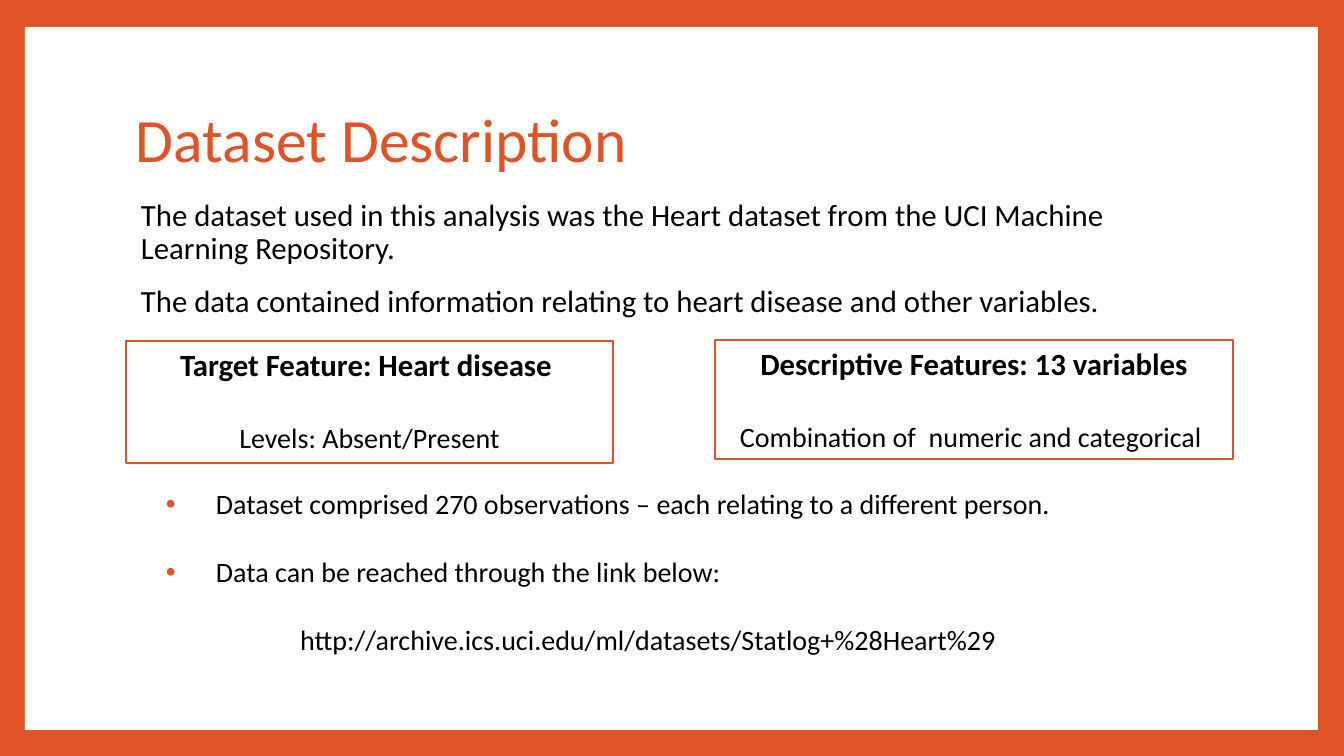
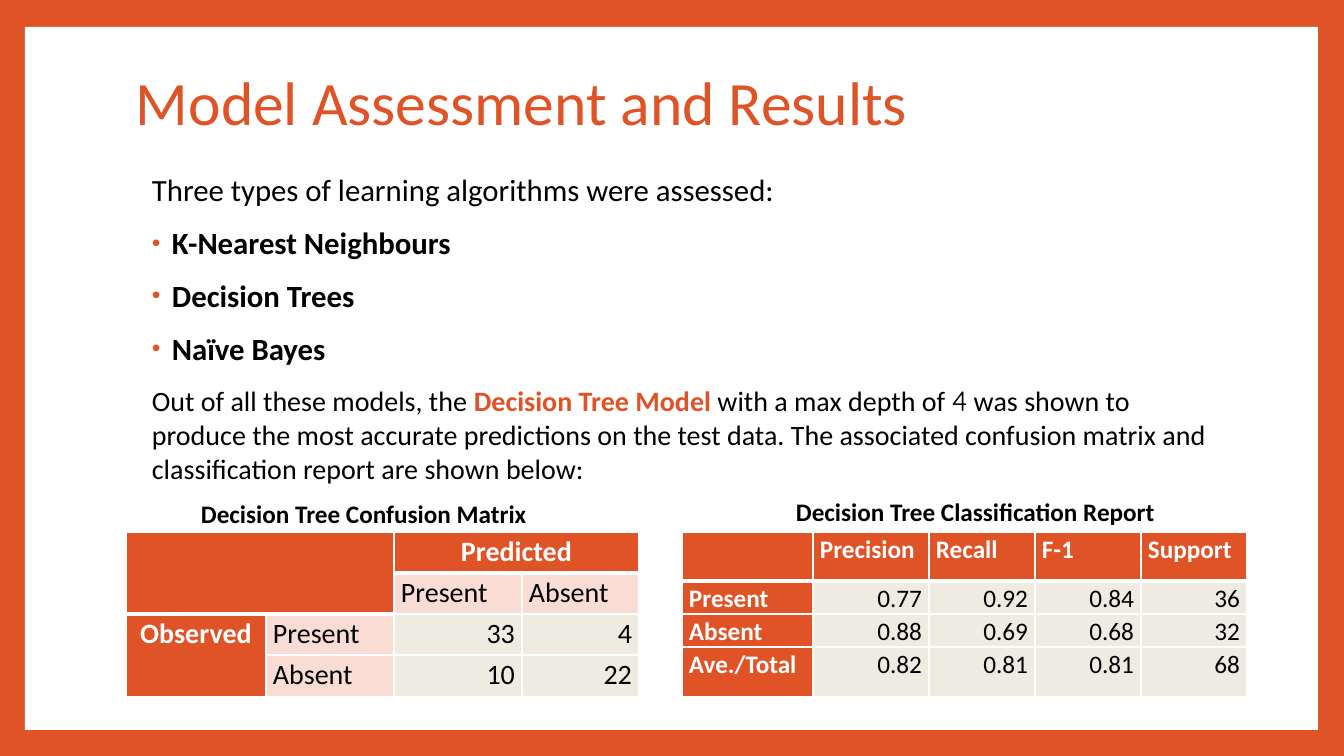
from lxml.etree import SubElement
from pptx import Presentation
from pptx.dml.color import RGBColor
from pptx.enum.shapes import MSO_SHAPE
from pptx.enum.text import MSO_ANCHOR, PP_ALIGN
from pptx.oxml import parse_xml
from pptx.oxml.ns import nsdecls, qn
from pptx.util import Emu, Pt

SCALE = 914400 / 100.8
ORANGE, PINK, BEIGE = "DF5327", "F9DDD4", "EEECE1"
WHITE, BLACK = "FFFFFF", "000000"
FONT = "Calibri"

# Cell kinds: fill, text colour, bold
CELL_KINDS = {
    "H": (ORANGE, WHITE, True),
    "L": (PINK, BLACK, False),
    "V": (BEIGE, BLACK, False),
}


def px(value):
    return Emu(round(value * SCALE))


def box(*values):
    return [px(value) for value in values]


def color(value):
    return RGBColor.from_string(value)


# Text
def format_run(run, size, text_color=BLACK, bold=False, font=FONT):
    run.font.name = font
    run.font.size = Pt(size)
    run.font.bold = bold
    run.font.color.rgb = color(text_color)


def fill_paragraph(paragraph, text, size, text_color=BLACK, bold=False,
                   align=PP_ALIGN.LEFT, spacing=None, before=0):
    paragraph.text = text
    paragraph.alignment = align
    paragraph.line_spacing = spacing
    paragraph.space_before = Pt(before)
    for run in paragraph.runs:
        format_run(run, size, text_color, bold)


def next_paragraph(text_frame, index):
    return text_frame.add_paragraph() if index else text_frame.paragraphs[0]


def indent(paragraph, left, hanging=0, bullet_percent=None):
    properties = paragraph._p.get_or_add_pPr()
    properties.set("marL", str(px(left)))
    properties.set("indent", str(-px(hanging)))
    if bullet_percent:
        bullet_color = SubElement(properties, qn("a:buClr"))
        SubElement(bullet_color, qn("a:srgbClr"), val=ORANGE)
        SubElement(properties, qn("a:buSzPct"), val=str(bullet_percent * 1000))
        SubElement(properties, qn("a:buFont"), typeface="Arial")
        SubElement(properties, qn("a:buChar"), char="•")


def add_text_box(slide, left, top, width, height, wrap=True):
    text_frame = slide.shapes.add_textbox(*box(left, top, width, height)).text_frame
    text_frame.word_wrap = wrap
    return text_frame


# Shared slide frame
def add_framed_slide(presentation, title, title_top):
    slide = presentation.slides.add_slide(presentation.slide_layouts[6])
    slide.background.fill.solid()
    slide.background.fill.fore_color.rgb = color(ORANGE)
    panel = slide.shapes.add_shape(MSO_SHAPE.RECTANGLE, *box(25, 27, 1293, 703))
    panel.shadow.inherit = False
    panel.fill.solid()
    panel.fill.fore_color.rgb = color(WHITE)
    panel.line.fill.background()
    text_frame = add_text_box(slide, 126, title_top, 1089, 149)
    text_frame.vertical_anchor = MSO_ANCHOR.MIDDLE
    fill_paragraph(text_frame.paragraphs[0], title, 44, ORANGE, spacing=0.9)
    return slide


def add_body(slide, left, top, height, intro, bullets=()):
    text_frame = add_text_box(slide, left, top, 1089, height)
    for index, text in enumerate([*intro, *bullets]):
        is_bullet = index >= len(intro)
        paragraph = next_paragraph(text_frame, index)
        fill_paragraph(paragraph, text, 22, bold=is_bullet, spacing=0.9,
                       before=14 if index else 0)
        if is_bullet:
            indent(paragraph, 25, 20, bullet_percent=80)
        else:
            indent(paragraph, 5)


def add_feature_box(slide, left, top, width, height, heading, detail):
    shape = slide.shapes.add_shape(MSO_SHAPE.RECTANGLE, *box(left, top, width, height))
    shape.shadow.inherit = False
    shape.fill.background()
    shape.line.color.rgb = color(ORANGE)
    shape.line.width = Pt(2)
    text_frame = shape.text_frame
    text_frame.word_wrap = True
    text_frame.vertical_anchor = MSO_ANCHOR.TOP
    fill_paragraph(text_frame.paragraphs[0], heading, 22, bold=True,
                   align=PP_ALIGN.CENTER)
    fill_paragraph(text_frame.add_paragraph(), detail, 20,
                   align=PP_ALIGN.CENTER, before=27)


def add_notes_list(slide, bullets, address):
    text_frame = add_text_box(slide, 151, 482, 989, 182)
    for index, text in enumerate([*bullets, address]):
        is_bullet = index < len(bullets)
        paragraph = next_paragraph(text_frame, index)
        fill_paragraph(paragraph, text, 20, before=24.4 if index else 0,
                       align=PP_ALIGN.LEFT if is_bullet else PP_ALIGN.CENTER)
        if is_bullet:
            indent(paragraph, 55, 50, bullet_percent=100)
        else:
            indent(paragraph, 5)


def add_caption(slide, left, top, width, text):
    text_frame = add_text_box(slide, left, top, width, 40, wrap=False)
    fill_paragraph(text_frame.paragraphs[0], text, 18, bold=True)


# Tables
def set_borders(cell, top, bottom):
    properties = cell._tc.get_or_add_tcPr()
    widths = {"lnL": 1, "lnR": 1, "lnT": top, "lnB": bottom}
    for index, (edge, width) in enumerate(widths.items()):
        properties.insert(index, parse_xml(
            f'<a:{edge} {nsdecls("a")} w="{Pt(width)}"><a:solidFill>'
            f'<a:srgbClr val="{WHITE}"/></a:solidFill></a:{edge}>'))


def add_table(slide, left, top, columns, heights, texts, kinds, size,
              header_rows=1, header_align=PP_ALIGN.LEFT, merges=()):
    frame = slide.shapes.add_table(
        len(heights), len(columns), *box(left, top, sum(columns), sum(heights)))
    table = frame.table
    table.first_row = table.horz_banding = False
    for column, width in zip(table.columns, columns):
        column.width = px(width)
    for row, height in zip(table.rows, heights):
        row.height = px(height)

    def lower_edge(row, column):
        is_header = 0 <= row < header_rows and kinds[row][column] == "H"
        return 3 if is_header else 1

    for row, row_texts in enumerate(texts):
        for column, text in enumerate(row_texts):
            cell = table.cell(row, column)
            kind = kinds[row][column]
            fill, text_color, bold = CELL_KINDS[kind]
            cell.fill.solid()
            cell.fill.fore_color.rgb = color(fill)
            cell.margin_left = cell.margin_right = px(7)
            cell.margin_top = cell.margin_bottom = 0
            align = {"H": header_align, "V": PP_ALIGN.RIGHT}.get(kind, PP_ALIGN.LEFT)
            fill_paragraph(cell.text_frame.paragraphs[0], text, size,
                           text_color, bold, align, spacing=1.07)
            set_borders(cell, lower_edge(row - 1, column), lower_edge(row, column))
    for first, last in merges:
        table.cell(*first).merge(table.cell(*last))


# Slides
def build_dataset_slide(presentation):
    slide = add_framed_slide(presentation, "Dataset Description", 68)
    add_body(slide, 126, 195, 145, [
        "The dataset used in this analysis was the Heart dataset from the UCI "
        "Machine Learning Repository.",
        "The data contained information relating to heart disease and other variables.",
    ])
    add_feature_box(slide, 126, 341, 487, 122,
                    "Target Feature: Heart disease ", "Levels: Absent/Present")
    add_feature_box(slide, 715, 340, 518, 119, "Descriptive Features: 13 variables",
                    "Combination of  numeric and categorical ")
    add_notes_list(slide, [
        "Dataset comprised 270 observations – each relating to a different person.",
        "Data can be reached through the link below:",
    ], "http://archive.ics.uci.edu/ml/datasets/Statlog+%28Heart%29")


def build_results_slide(presentation):
    slide = add_framed_slide(presentation, "Model Assessment and Results", 31)
    add_body(slide, 137, 170, 216,
             ["Three types of learning algorithms were assessed:"],
             ["K-Nearest Neighbours", "Decision Trees", "Naïve Bayes"])

    # Summary sentence with a highlighted model name
    summary = add_text_box(slide, 142, 379, 1084, 112).paragraphs[0]
    for text, style in [
        ("Out of all these models, the ", {}),
        ("Decision Tree Model ", {"text_color": ORANGE, "bold": True}),
        ("with a max depth of ", {}),
        ("4", {"font": "Quicksand"}),
        (" was shown to produce the most accurate predictions on the test data. "
         "The associated confusion matrix and classification report are shown below:", {}),
    ]:
        run = summary.add_run()
        run.text = text
        format_run(run, 20, **style)

    add_caption(slide, 786, 491, 395, "Decision Tree Classification Report")
    add_caption(slide, 191, 493, 358, "Decision Tree Confusion Matrix")
    add_table(
        slide, 126, 532, [140, 128, 128, 117], [41, 41, 41, 42],
        [["", "", "Predicted", ""],
         ["", "", "Present", "Absent"],
         ["Observed", "Present", "33", "4"],
         ["", "Absent", "10", "22"]],
        ["HHHH", "HHLL", "HLVV", "HLVV"], 20,
        header_rows=2, header_align=PP_ALIGN.CENTER,
        merges=[((0, 0), (1, 1)), ((0, 2), (0, 3)), ((2, 0), (3, 0))])
    add_table(
        slide, 682, 532, [131, 116, 106, 106, 106], [49, 33, 33, 50],
        [["", "Precision", "Recall", "F-1", "Support"],
         ["Present", "0.77", "0.92", "0.84", "36"],
         ["Absent", "0.88", "0.69", "0.68", "32"],
         ["Ave./Total", "0.82", "0.81", "0.81", "68"]],
        ["HHHHH"] + ["HVVVV"] * 3, 18)


def main():
    presentation = Presentation()
    presentation.slide_width, presentation.slide_height = box(1344, 756)
    build_dataset_slide(presentation)
    build_results_slide(presentation)
    presentation.save("out.pptx")


main()
